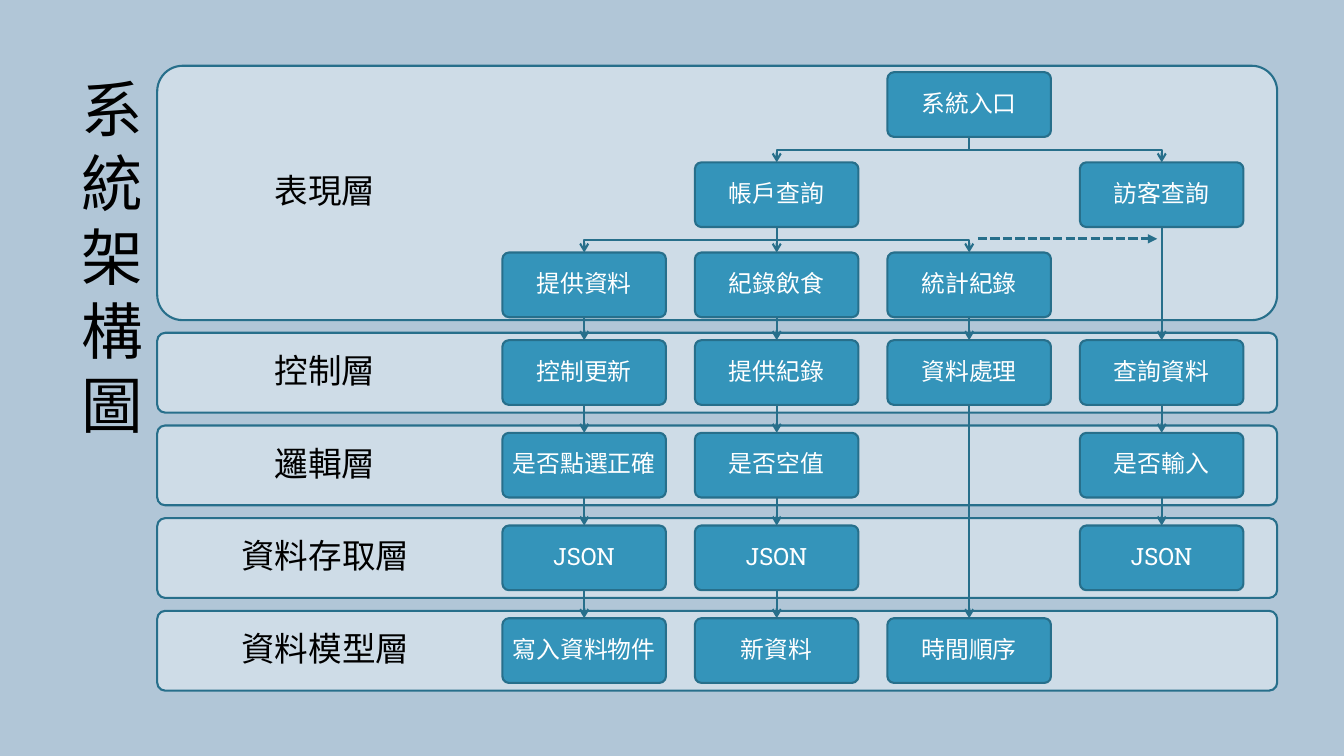
from lxml import etree
from pptx import Presentation
from pptx.dml.color import RGBColor
from pptx.enum.dml import MSO_LINE
from pptx.enum.shapes import MSO_CONNECTOR, MSO_SHAPE
from pptx.enum.text import MSO_ANCHOR, MSO_AUTO_SIZE, PP_ALIGN
from pptx.oxml.ns import qn
from pptx.util import Pt

ROUNDED = MSO_SHAPE.ROUNDED_RECTANGLE
STRAIGHT, ELBOW = MSO_CONNECTOR.STRAIGHT, MSO_CONNECTOR.ELBOW
DASH = MSO_LINE.SQUARE_DOT
TOP, MIDDLE = MSO_ANCHOR.TOP, MSO_ANCHOR.MIDDLE
CENTER = PP_ALIGN.CENTER

COLORS = {"background": "B1C6D7", "layer": "CEDCE7", "node": "3494BA",
          "line": "276F8B", "dark": "000000", "light": "FFFFFF"}
TITLE_FONT, BODY_FONT = "Calibri", "Roboto Slab"

LAYER_X, LAYER_W, LABEL_W = 112.3, 800, 240
LAYER_Y, LAYER_STEP, LAYER_H = 237.7, 66.2, 57
TOP_LAYER_Y, TOP_LAYER_H = 47, 181.7
LOWER_LAYERS = ["控制層", "邏輯層", "資料存取層", "資料模型層"]

NODE_W, NODE_H = 116.8, 46.2
COLUMN_X, COLUMN_STEP = 417.3, 137.5
ROW_Y = [51.6 + 64.4 * i for i in range(3)] + [243 + 66.2 * i for i in range(4)]

# (column, row): text
NODES = {
    (2, 0): "系統入口",
    (1, 1): "帳戶查詢", (3, 1): "訪客查詢",
    (0, 2): "提供資料", (1, 2): "紀錄飲食", (2, 2): "統計紀錄",
    (0, 3): "控制更新", (1, 3): "提供紀錄", (2, 3): "資料處理", (3, 3): "查詢資料",
    (0, 4): "是否點選正確", (1, 4): "是否空值", (3, 4): "是否輸入",
    (0, 5): "JSON", (1, 5): "JSON", (3, 5): "JSON",
    (0, 6): "寫入資料物件", (1, 6): "新資料", (2, 6): "時間順序",
}
BRANCHES = [((2, 0), (1, 1)), ((2, 0), (3, 1)), ((1, 1), (0, 2)), ((1, 1), (2, 2))]


def rgb(name):
    return RGBColor.from_string(COLORS[name])


def write(tf, text, font, size, color, spacing=None):
    tf.word_wrap = True
    p = tf.paragraphs[0]
    p.alignment = CENTER
    p.line_spacing = spacing
    r = p.add_run()
    r.text = text
    r.font.name = font
    r.font.size = Pt(size)
    r.font.color.rgb = rgb(color)


def add_title(slide, text):
    sp = slide.shapes.title
    sp.left, sp.top, sp.width, sp.height = Pt(48.2), Pt(47), Pt(64), Pt(271.4)
    tf = sp.text_frame
    tf.auto_size = MSO_AUTO_SIZE.NONE
    tf.vertical_anchor = TOP
    write(tf, text, TITLE_FONT, 44, "dark")


def add_box(slide, x, y, w, h, fill, text, size, color, inset, right_inset):
    sp = slide.shapes.add_shape(ROUNDED, Pt(x), Pt(y), Pt(w), Pt(h))
    sp.adjustments[0] = 0.1
    sp.shadow.inherit = False
    sp.fill.solid()
    sp.fill.fore_color.rgb = rgb(fill)
    sp.line.color.rgb = rgb("line")
    sp.line.width = Pt(1.5)
    tf = sp.text_frame
    tf.vertical_anchor = MIDDLE
    tf.margin_left = tf.margin_top = tf.margin_bottom = Pt(inset)
    tf.margin_right = Pt(right_inset)
    write(tf, text, BODY_FONT, size, color, 0.9)


def add_layer(slide, y, h, text):
    """Band whose label is centred in its left part."""
    add_box(slide, LAYER_X, y, LAYER_W, h, "layer", text, 24, "dark",
            13, LAYER_W - LABEL_W + 13)


def add_node(slide, cell, text):
    column, row = cell
    x = COLUMN_X + column * COLUMN_STEP - NODE_W / 2
    add_box(slide, x, ROW_Y[row], NODE_W, NODE_H, "node", text, 17, "light", 3, 3)


def add_arrow(slide, kind, x1, y1, x2, y2, width=1.5, head="arrow"):
    c = slide.shapes.add_connector(kind, Pt(x1), Pt(y1), Pt(x2), Pt(y2))
    c.line.color.rgb = rgb("line")
    c.line.width = Pt(width)
    etree.SubElement(c.line._get_or_add_ln(), qn("a:tailEnd"), type=head)
    etree.SubElement(c._element.spPr, qn("a:effectLst"))
    return c


def add_link(slide, start, end):
    """Arrow from the bottom of one node to the top of another."""
    x1, x2 = (COLUMN_X + cell[0] * COLUMN_STEP for cell in (start, end))
    y1, y2 = ROW_Y[start[1]] + NODE_H, ROW_Y[end[1]]
    if x1 == x2:
        add_arrow(slide, STRAIGHT, x1, y1, x2, y2)
        return
    # An elbow leaves sideways, so it is laid out flat and turned by 90 degrees.
    mid_x, mid_y = (x1 + x2) / 2, (y1 + y2) / 2
    half_w, half_h = (y2 - y1) / 2, (x1 - x2) / 2
    c = add_arrow(slide, ELBOW, mid_x - half_w, mid_y - half_h,
                  mid_x + half_w, mid_y + half_h)
    c._element.spPr.find(qn("a:xfrm")).set("rot", "5400000")


def main():
    prs = Presentation()
    prs.slide_width, prs.slide_height = Pt(960), Pt(540)
    slide = prs.slides.add_slide(prs.slide_layouts[5])
    slide.background.fill.solid()
    slide.background.fill.fore_color.rgb = rgb("background")

    add_title(slide, "系統架構圖")
    add_layer(slide, TOP_LAYER_Y, TOP_LAYER_H, "表現層")
    for i, text in enumerate(LOWER_LAYERS):
        add_layer(slide, LAYER_Y + i * LAYER_STEP, LAYER_H, text)

    for cell, text in NODES.items():
        add_node(slide, cell, text)

    for start, end in BRANCHES:
        add_link(slide, start, end)
    for column in range(4):
        chain = [cell for cell in NODES if cell[0] == column and cell[1] > 0]
        for start, end in zip(chain, chain[1:]):
            add_link(slide, start, end)

    c = add_arrow(slide, STRAIGHT, 698.4, 170.6, 826.6, 170.6, 2.25, "triangle")
    c.line.dash_style = DASH

    prs.save("out.pptx")


if __name__ == "__main__":
    main()
